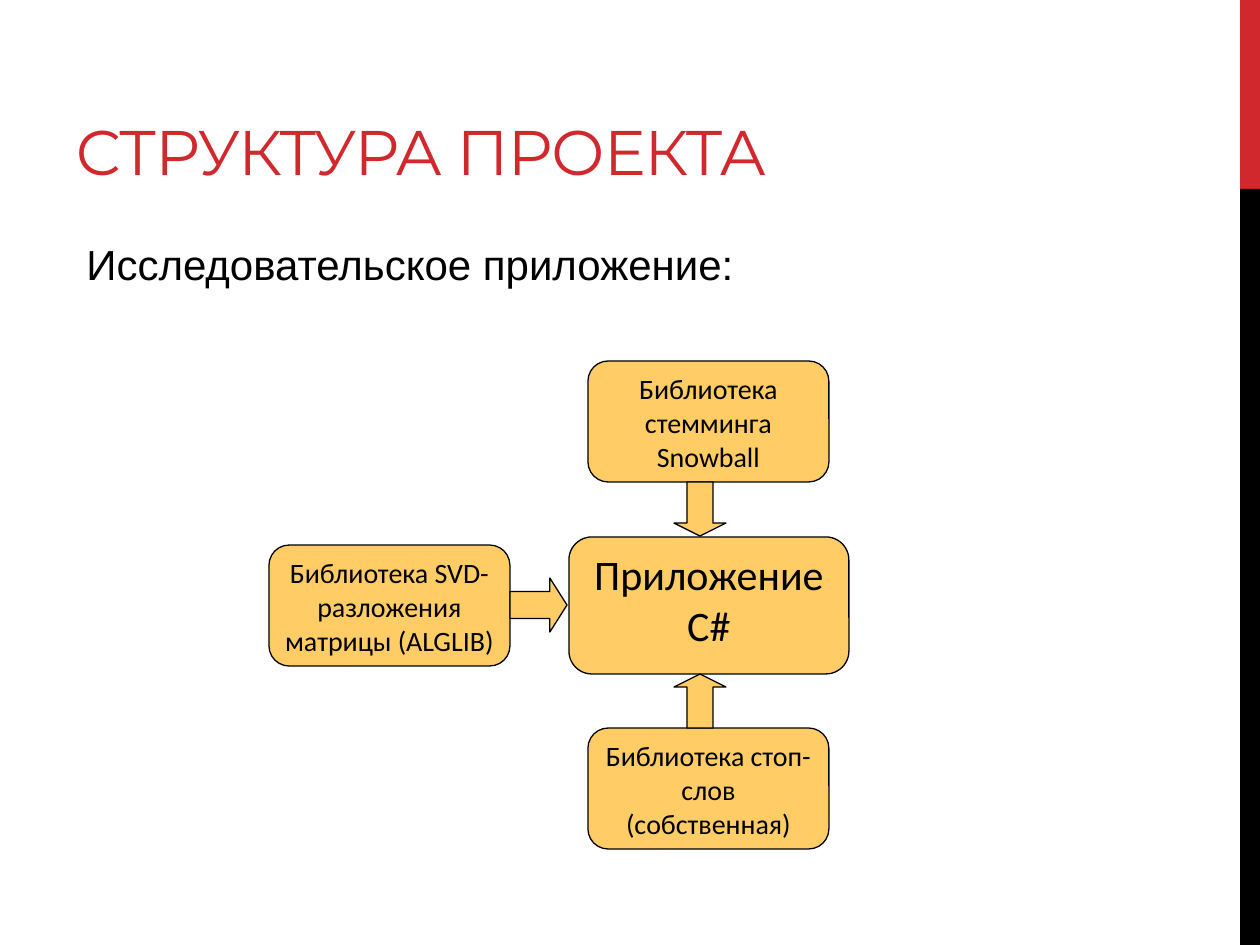
from pptx import Presentation
from pptx.dml.color import RGBColor
from pptx.enum.shapes import MSO_SHAPE
from pptx.enum.text import MSO_ANCHOR, MSO_AUTO_SIZE, PP_ALIGN
from pptx.util import Pt

EMU_PER_PX = 914400 / 126
RED = RGBColor(0xD1, 0x28, 0x2E)
BLACK = RGBColor(0x00, 0x00, 0x00)
AMBER = RGBColor(0xFF, 0xCC, 0x66)

RECT = MSO_SHAPE.RECTANGLE
ROUNDED = MSO_SHAPE.ROUNDED_RECTANGLE
UP, RIGHT, DOWN = MSO_SHAPE.UP_ARROW, MSO_SHAPE.RIGHT_ARROW, MSO_SHAPE.DOWN_ARROW
TOP = MSO_ANCHOR.TOP
LEFT, CENTER = PP_ALIGN.LEFT, PP_ALIGN.CENTER
NO_FIT, GROW = MSO_AUTO_SIZE.NONE, MSO_AUTO_SIZE.SHAPE_TO_FIT_TEXT

INSET = 5
LIBRARY_SIZE = (241, 121)
LIBRARIES = [
    (588, 361, "Библиотека стемминга Snowball"),
    (269, 545, "Библиотека SVD-разложения матрицы (ALGLIB)"),
    (588, 728, "Библиотека стоп-слов (собственная)"),
]
ARROWS = [
    (UP, (674, 674, 52, 54), 0.25),
    (RIGHT, (510, 578, 57, 54), 0.317),
    (DOWN, (674, 482, 52, 54), 0.25),
]


def px(value):
    return round(value * EMU_PER_PX)


def set_text(tf, text, font, size, color, align):
    tf.vertical_anchor = TOP
    p = tf.paragraphs[0]
    p.text = text
    p.alignment = align
    p.font.name = font
    p.font.size = Pt(size)
    p.font.color.rgb = color
    return p


def add_shape(shapes, kind, box, fill, outlined=True):
    sp = shapes.add_shape(kind, *map(px, box))
    sp.shadow.inherit = False
    sp.fill.solid()
    sp.fill.fore_color.rgb = fill
    if outlined:
        sp.line.color.rgb = BLACK
        sp.line.width = Pt(0.75)
    else:
        sp.line.fill.background()
    return sp


def add_node(shapes, box, text, size):
    sp = add_shape(shapes, ROUNDED, box, AMBER)
    sp.adjustments[0] = 0.167
    tf = sp.text_frame
    tf.word_wrap = True
    tf.margin_left = tf.margin_right = tf.margin_top = tf.margin_bottom = px(INSET)
    return set_text(tf, text, "Calibri", size, BLACK, CENTER)


def add_arrow(shapes, kind, box, head):
    sp = add_shape(shapes, kind, box, AMBER)
    sp.adjustments[0] = 0.5
    sp.adjustments[1] = head


def add_title(s, text):
    sp = s.shapes.title
    sp.left, sp.top, sp.width, sp.height = map(px, (63, 106, 798, 110))
    tf = sp.text_frame
    tf.auto_size = NO_FIT
    p = set_text(tf, text, "Montserrat", 36, RED, LEFT)
    p.runs[0].font._element.set("spc", "-60")


def add_subtitle(s, text):
    tf = s.shapes.add_textbox(*map(px, (74, 232, 679, 63))).text_frame
    tf.word_wrap = False
    tf.auto_size = GROW
    set_text(tf, text, "Arial", 24, BLACK, LEFT)


def add_diagram(s):
    shapes = s.shapes.add_group_shape().shapes
    p = add_node(shapes, (569, 537, 280, 137), "Приложение\vC#", 24)
    p.space_before = Pt(6)
    for x, y, text in LIBRARIES:
        add_node(shapes, (x, y, *LIBRARY_SIZE), text, 16)
    for kind, box, head in ARROWS:
        add_arrow(shapes, kind, box, head)


def main():
    prs = Presentation()
    prs.slide_width, prs.slide_height = px(1260), px(945)
    s = prs.slides.add_slide(prs.slide_layouts[5])
    add_shape(s.shapes, RECT, (1240, 0, 20, 189), RED, outlined=False)
    add_shape(s.shapes, RECT, (1240, 189, 20, 756), BLACK, outlined=False)
    add_title(s, "СТРУКТУРА ПРОЕКТА")
    add_subtitle(s, "Исследовательское приложение:")
    add_diagram(s)
    prs.save("out.pptx")


main()
